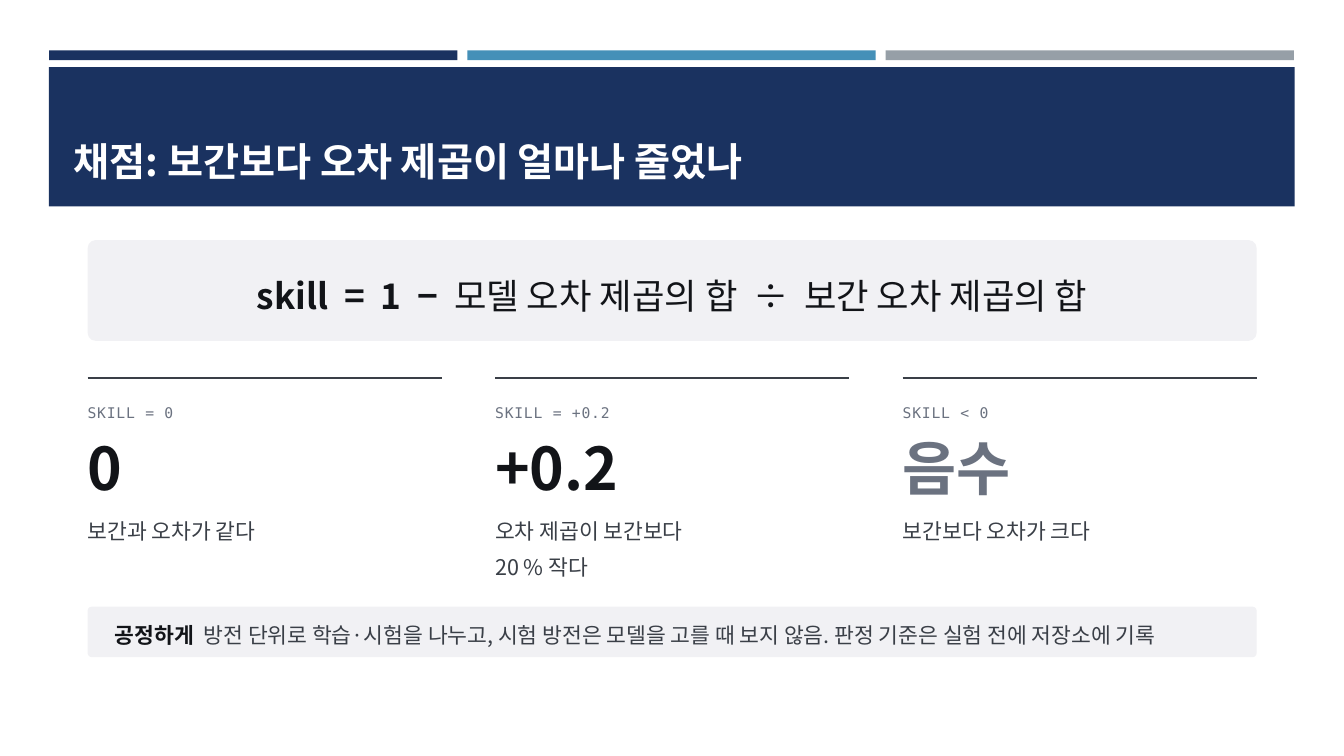
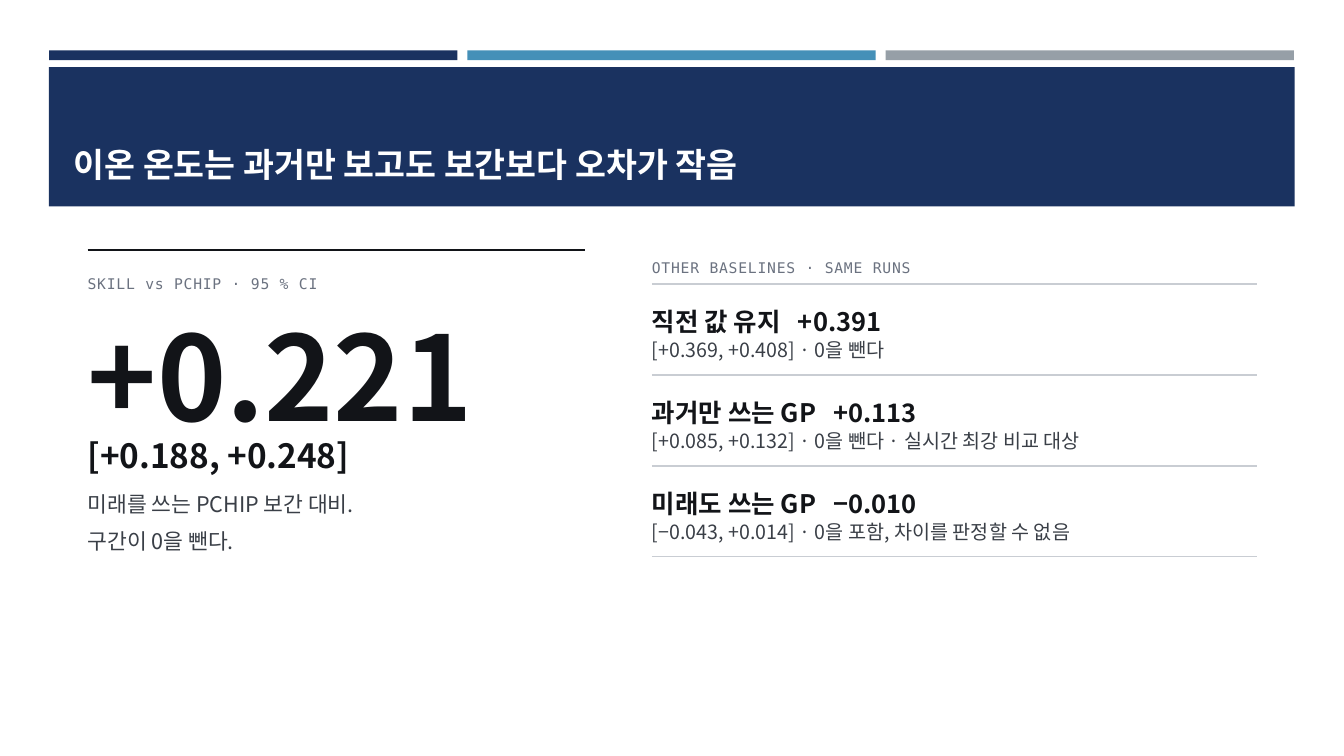
from lxml import etree
from pptx import Presentation
from pptx.dml.color import RGBColor
from pptx.enum import shapes, text
from pptx.oxml.ns import qn
from pptx.util import Cm, Pt

NAVY = RGBColor(0x1A, 0x32, 0x60)
BLUE = RGBColor(0x45, 0x90, 0xB8)
STEEL = RGBColor(0x96, 0x9F, 0xA7)
WHITE = RGBColor(0xFF, 0xFF, 0xFF)
PALE = RGBColor(0xF1, 0xF1, 0xF4)
INK = RGBColor(0x12, 0x14, 0x18)
DARK = RGBColor(0x3A, 0x3F, 0x47)
GRAY = RGBColor(0x6B, 0x72, 0x80)
RULE = RGBColor(0xC9, 0xCD, 0xD3)

SANS = "Noto Sans CJK KR"
MONO = "DejaVu Sans Mono"
SPACE = 0.22
LEFT, WIDE = 2.21, 29.46


class Deck:
    def __init__(self):
        self.prs = Presentation()
        self.prs.slide_width, self.prs.slide_height = Cm(33.87), Cm(19.05)
        self.slide = None

    def page(self, title, size):
        self.slide = self.prs.slides.add_slide(self.prs.slide_layouts[5])
        for i, color in enumerate((NAVY, BLUE, STEEL)):
            self.block(1.24 + i * 10.54, 1.27, 10.29, 0.25, color)
        self.block(1.23, 1.69, 31.4, 3.51, NAVY)
        head = self.slide.shapes.title
        head.left, head.top, head.width, head.height = map(Cm, (1.6, 2.03, 30.63, 2.74))
        head.element.getparent().append(head.element)
        frame = head.text_frame
        frame.text = title
        frame.auto_size = text.MSO_AUTO_SIZE.NONE
        frame.vertical_anchor = text.MSO_ANCHOR.BOTTOM
        para = frame.paragraphs[0]
        para.alignment = text.PP_ALIGN.LEFT
        self.style(para.runs[0], size, WHITE, True)

    def style(self, run, size, color, bold=False, face=SANS, track=0):
        font = run.font
        font.size, font.bold, font.name = Pt(size), bold, face
        font.color.rgb = color
        mark = run._r.get_or_add_rPr()
        etree.SubElement(mark, qn("a:ea")).set("typeface", face)
        if track:
            mark.set("spc", str(round(track * 100)))

    def block(self, x, y, w, h, color, kind=shapes.MSO_SHAPE.RECTANGLE):
        box = self.slide.shapes.add_shape(kind, Cm(x), Cm(y), Cm(w), Cm(h))
        box.shadow.inherit = False
        box.fill.solid()
        box.fill.fore_color.rgb = color
        box.line.fill.background()
        return box

    def frame(self, box, inset=0):
        frame = box.text_frame
        frame.word_wrap = True
        frame.auto_size = text.MSO_AUTO_SIZE.NONE
        frame.margin_left = frame.margin_right = Cm(inset)
        frame.margin_top = frame.margin_bottom = 0
        return frame

    def panel(self, y, h, parts, size, align, inset=0):
        box = self.block(LEFT, y, WIDE, h, PALE, shapes.MSO_SHAPE.ROUNDED_RECTANGLE)
        box.adjustments[0] = 0.08
        frame = self.frame(box, inset)
        frame.vertical_anchor = text.MSO_ANCHOR.MIDDLE
        para = frame.paragraphs[0]
        para.alignment, para.line_spacing = align, 1.25
        for words, color, bold in parts:
            self.spread(para, words, size, color, bold, 1)

    def spread(self, para, words, size, color, bold, extra):
        for i, word in enumerate(words.split("|")):
            if i:
                gap = para.add_run()
                gap.text = " "
                self.style(gap, size, color, bold, track=size * SPACE * extra)
            if word:
                run = para.add_run()
                run.text = word
                self.style(run, size, color, bold)

    def note(self, x, y, w, h, words, size, color=DARK, bold=False, lead=1.25,
             face=SANS, track=0):
        box = self.slide.shapes.add_textbox(Cm(x), Cm(y), Cm(w), Cm(h))
        frame = self.frame(box)
        frame.text = words
        for para in frame.paragraphs:
            para.line_spacing = lead
            for run in para.runs:
                self.style(run, size, color, bold, face, track)

    def label(self, x, y, w, words):
        self.note(x, y, w, 0.58, words, 10.5, GRAY, face=MONO, track=0.6)

    def pair(self, x, y, w, words, size):
        box = self.slide.shapes.add_textbox(Cm(x), Cm(y), Cm(w), Cm(0.84))
        para = self.frame(box).paragraphs[0]
        para.line_spacing = 1.25
        self.spread(para, words, size, INK, True, 2)

    def rule(self, x, y, w, color, weight):
        line = self.slide.shapes.add_connector(
            shapes.MSO_CONNECTOR.STRAIGHT, Cm(x), Cm(y), Cm(x + w), Cm(y))
        line.line.color.rgb = color
        line.line.width = Pt(weight)
        etree.SubElement(line._element.spPr, qn("a:effectLst"))


def score(deck):
    deck.page("채점: 보간보다 오차 제곱이 얼마나 줄었나", 28)
    deck.panel(6.05, 2.54, [
        ("skill|=|1|−|", INK, True),
        ("모델 오차 제곱의 합|÷|보간 오차 제곱의 합", INK, False),
    ], 25.2, text.PP_ALIGN.CENTER)
    cases = [
        ("SKILL = 0", "0", "보간과 오차가 같다", INK),
        ("SKILL = +0.2", "+0.2", "오차 제곱이 보간보다\n20 % 작다", INK),
        ("SKILL < 0", "음수", "보간보다 오차가 크다", GRAY),
    ]
    gap = 1.35
    w = (WIDE - 2 * gap) / 3
    for i, (label, value, words, color) in enumerate(cases):
        x = LEFT + i * (w + gap)
        deck.rule(x, 9.53, w, DARK, 1.25)
        deck.label(x, 10.06, w, label)
        deck.note(x, 10.87, w, 2.21, value, 42, color, True, 1.0)
        deck.note(x, 12.8, w, 3.05, words, 15.4, lead=1.4)
    deck.panel(15.29, 1.27, [
        ("공정하게|", INK, True),
        ("방전 단위로 학습·시험을 나누고, 시험 방전은 모델을 고를 때 보지 않음. "
         "판정 기준은 실험 전에 저장소에 기록", DARK, False),
    ], 15.4, text.PP_ALIGN.LEFT, 0.66)


def result(deck):
    deck.page("이온 온도는 과거만 보고도 보간보다 오차가 작음", 24)
    w = 12.52
    deck.rule(LEFT, 6.3, w, INK, 2)
    deck.label(LEFT, 6.81, w, "SKILL vs PCHIP · 95 % CI")
    deck.note(LEFT, 7.67, w, 3.23, "+0.221", 84, INK, True, 1.0)
    deck.note(LEFT, 10.72, w, 1.19, "[+0.188, +0.248]", 23.8, INK, True)
    deck.note(LEFT, 12.07, w, 2.36,
              "미래를 쓰는 PCHIP 보간 대비.\n구간이 0을 뺀다.", 15.4, lead=1.45)
    x, y, w, step = 16.43, 7.16, 15.24, 2.29
    deck.label(x, 6.4, w, "OTHER BASELINES · SAME RUNS")
    deck.rule(x, y, w, RULE, 1)
    rows = [
        ("직전 값 유지|+0.391", "[+0.369, +0.408] · 0을 뺀다"),
        ("과거만 쓰는 GP|+0.113", "[+0.085, +0.132] · 0을 뺀다 · 실시간 최강 비교 대상"),
        ("미래도 쓰는 GP|−0.010", "[−0.043, +0.014] · 0을 포함, 차이를 판정할 수 없음"),
    ]
    for i, (head, words) in enumerate(rows):
        top = y + i * step
        deck.pair(x, top + 0.36, w, head, 18.2)
        deck.note(x, top + 1.22, w, 1.02, words, 14)
        deck.rule(x, top + step, w, RULE, 1)


def main():
    deck = Deck()
    score(deck)
    result(deck)
    deck.prs.save("out.pptx")


if __name__ == "__main__":
    main()
